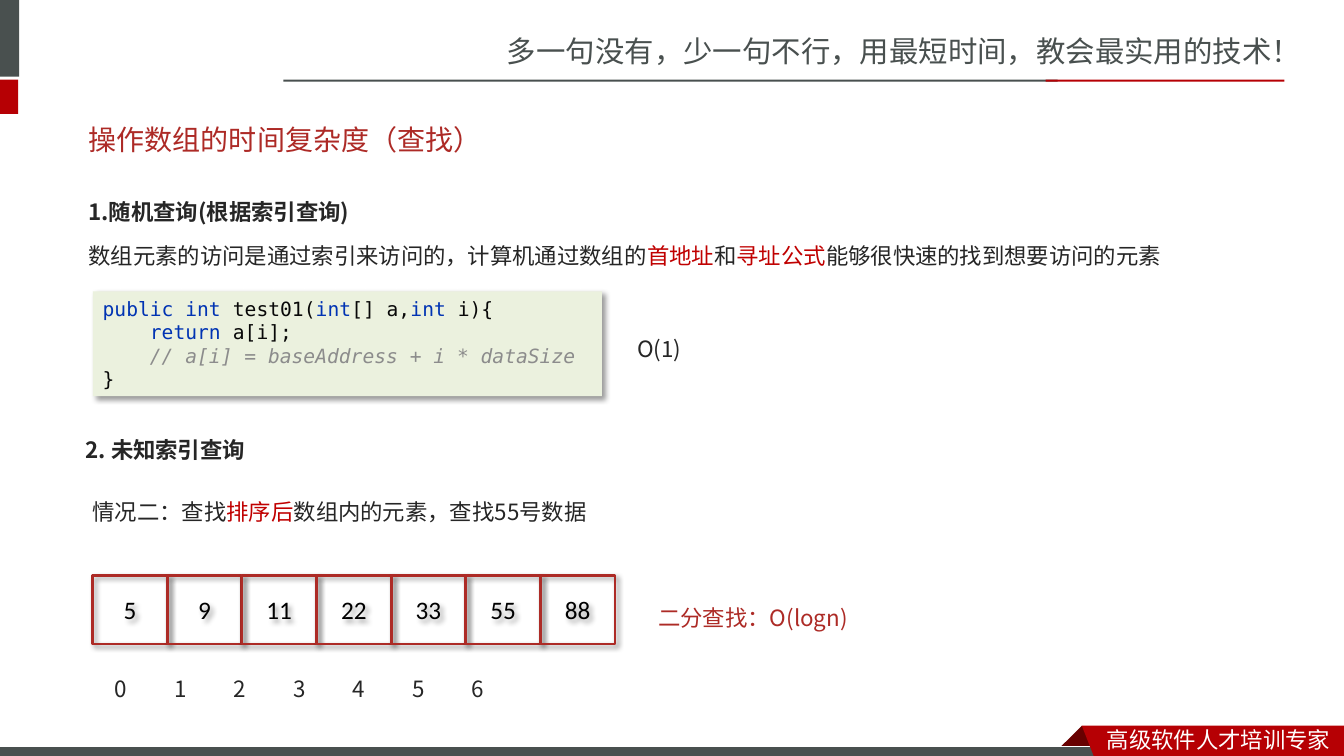
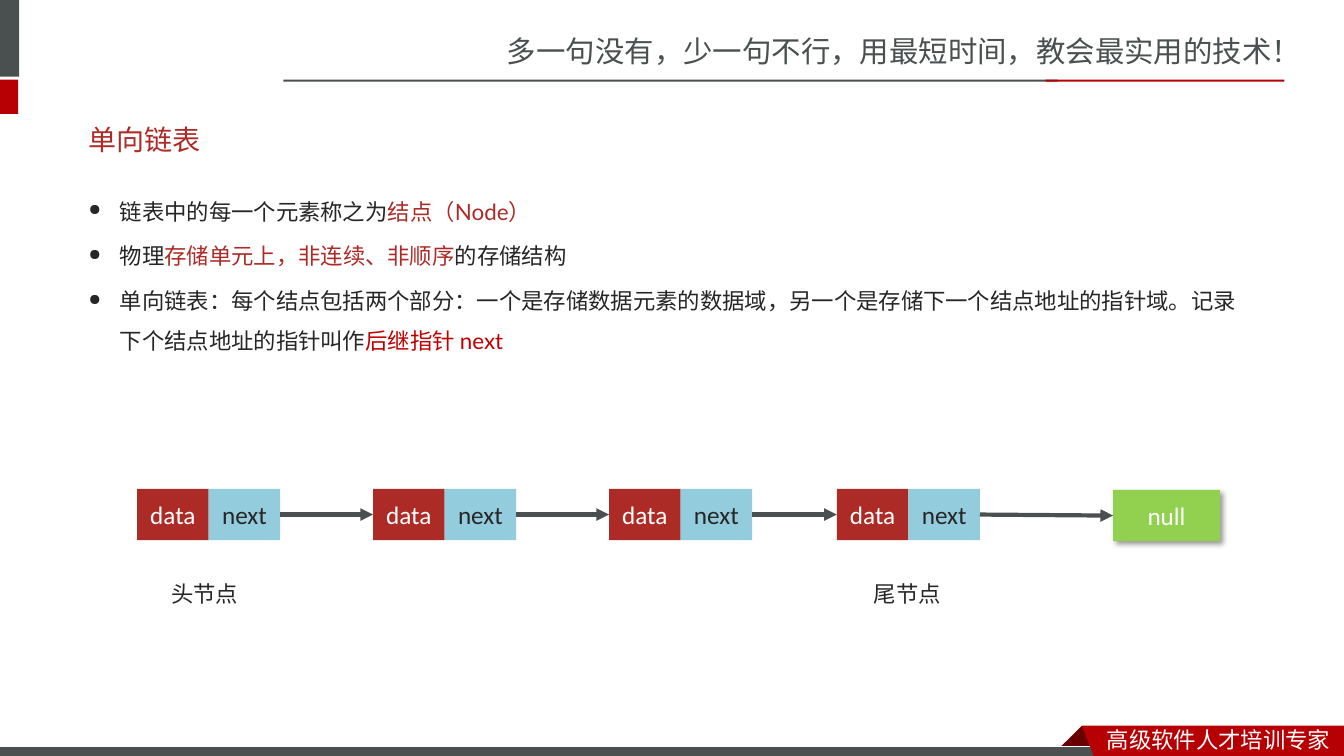
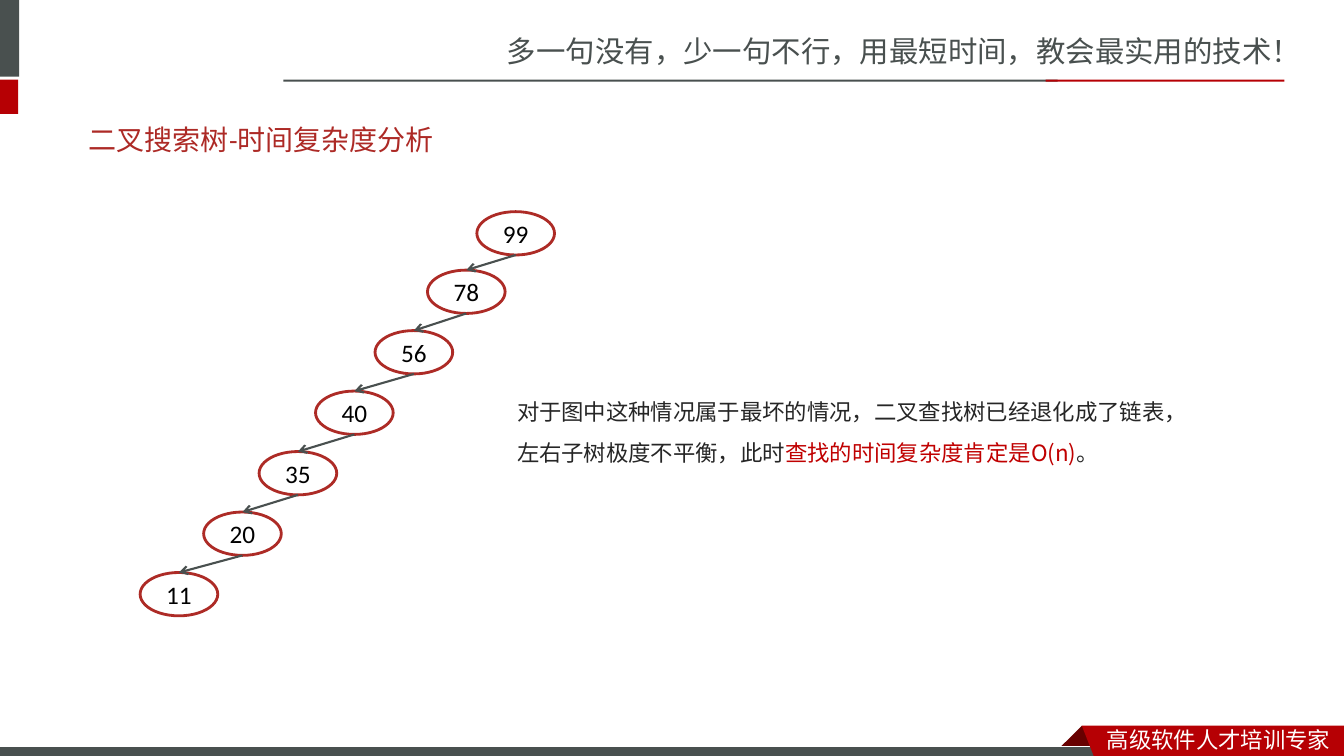
from itertools import pairwise

from lxml import etree
from pptx import Presentation
from pptx.dml.color import RGBColor
from pptx.enum.dml import MSO_LINE
from pptx.enum.shapes import MSO_CONNECTOR, MSO_SHAPE, PP_PLACEHOLDER
from pptx.enum.text import MSO_ANCHOR, MSO_AUTO_SIZE, PP_ALIGN
from pptx.oxml.ns import qn
from pptx.util import Inches, Pt

WIDTH, HEIGHT = 13.33, 7.5
MARGIN, COLUMN = 0.78, 11.7

GREY, RED, DARK_RED, WHITE = "49504F", "B60004", "680000", "FFFFFF"
BRICK, TITLE_RED, ACCENT, INK, BLACK = "AD2B26", "AD2A26", "C00000", "262626", "000000"
SKY, GREEN, CODE_BACK = "93CDDD", "92D050", "EBF1DE"
KEYWORD, CODE, REMARK = "0033B3", "080808", "8C8C8C"

CJK, LATIN, MONO = "Noto Sans CJK SC", "Calibri", "DejaVu Sans Mono"
BODY = {"name": "Noto Sans CJK JP", "size": Pt(16)}
LATO_BODY = {"name": "Lato", "size": Pt(16)}
HEADING = {**BODY, "bold": True}
LABEL = {"name": LATIN, "size": Pt(18)}
TITLE = {"name": LATIN, "size": Pt(20)}
SLOGAN = {"name": CJK, "size": Pt(21)}
FOOTER = {"name": CJK, "size": Pt(16)}
SOURCE = {"name": MONO, "size": Pt(14)}

# Shared frame
BARS = [
    ((-0.06, 0, 0.25, 0.76), GREY),
    ((-0.06, 0.79, 0.24, 0.34), RED),
    ((2.81, 0.79, 7.68, 0.02), GREY),
    ((10.37, 0.79, 2.37, 0.02), RED),
]
FOOTER_BAR = (-0.01, 7.41, 11, 0.12)
RIBBON_FOLD = [(10.73, 7.2), (10.95, 7.42), (10.94, 7.43), (10.52, 7.43), (10.51, 7.42)]
RIBBON = [(10.73, 7.2), (WIDTH, 7.2), (WIDTH, 7.54), (10.86, 7.53)]
SLOGAN_TEXT = "多一句没有，少一句不行，用最短时间，教会最实用的技术！"
FOOTER_TEXT = "高级软件人才培训专家"

# A paragraph is a list of (text, colour) runs
LOOKUP_TITLE = "操作数组的时间复杂度（查找）"
LOOKUP_HEADING = [("1.随机查询(根据索引查询)", INK)]
LOOKUP_BODY = [
    ("数组元素的访问是通过索引来访问的，计算机通过数组的", INK), ("首地址", ACCENT),
    ("和", INK), ("寻址公式", ACCENT), ("能够很快速的找到想要访问的元素", INK),
]
LOOKUP_CODE = [
    [("public int ", KEYWORD), ("test01(", CODE), ("int", KEYWORD), ("[] a,", CODE),
     ("int ", KEYWORD), ("i){", CODE)],
    [("    return ", KEYWORD), ("a[i];", CODE)],
    [("    // a[i] = baseAddress + i * dataSize", REMARK)],
    [("}", CODE)],
]
LOOKUP_NOTES = [
    ((6.22, 3.14, 0.89, 0.53), [("O(1)", INK)], BODY),
    ((0.75, 4.14, COLUMN, 0.57), [("2. 未知索引查询", INK)], HEADING),
    ((0.82, 4.76, COLUMN, 0.81),
     [("情况二：查找", INK), ("排序后", ACCENT), ("数组内的元素，查找55号数据", INK)], BODY),
    ((6.43, 5.81, 3.73, 0.67), [("二分查找：O(logn)", BRICK)], BODY),
]
SORTED_VALUES = [5, 9, 11, 22, 33, 55, 88]
CELL_LEFT, CELL_TOP, CELL_WIDTH, CELL_HEIGHT = 0.92, 5.71, 0.74, 0.68
INDEX_START, INDEX_PITCH = 0.16, 0.59

LIST_TITLE = "单向链表"
LIST_POINTS = [
    [("链表中的每一个元素称之为", INK), ("结点（Node）", BRICK)],
    [("物理", INK), ("存储单元上，非连续、非顺序", BRICK), ("的存储结构", INK)],
    [("单向链表：每个结点包括两个部分：一个是存储数据元素的数据域，另一个是存储下一个"
      "结点地址的指针域。记录下个结点地址的指针叫作", INK), ("后继指针 next", ACCENT)],
]
NODE_LEFTS = [1.36, 3.7, 6.04, 8.3]
NODE_TOP, FIELD_WIDTH, FIELD_HEIGHT = 4.85, 0.71, 0.51
NULL_BOX = (11.04, 4.86, 1.06, 0.51)
NODE_CAPTIONS = [("头节点", 1.6), ("尾节点", 8.57)]

TREE_TITLE = "二叉搜索树-时间复杂度分析"
TREE_NODES = [
    (99, 4.73, 2.1), (78, 4.24, 2.68), (56, 3.72, 3.28), (40, 3.13, 3.88),
    (35, 2.57, 4.48), (20, 2.02, 5.08), (11, 1.39, 5.68),
]
OVAL_WIDTH, OVAL_HEIGHT = 0.77, 0.43
TREE_NOTE = [
    ("对于图中这种情况属于最坏的情况，二叉查找树已经退化成了链表，左右子树极度不平衡，此时", INK),
    ("查找的时间复杂度肯定是O(n)", ACCENT), ("。", INK),
]


def rgb(value):
    return RGBColor.from_string(value)


def apply(target, values):
    for key, value in values.items():
        setattr(target, key, value)


def child(parent, tag, **attributes):
    return etree.SubElement(parent, qn(tag), {k: str(v) for k, v in attributes.items()})


def write(paragraph, runs, style):
    for text, colour in runs:
        run = paragraph.add_run()
        run.text = text
        apply(run.font, style)
        run.font.color.rgb = rgb(colour)
        if colour == REMARK:
            run.font.italic = True
        child(run.font._element, "a:ea", typeface=CJK)


def fill_frame(frame, paragraphs, spacing=1.5):
    """Write (runs, style) pairs, one paragraph each."""
    for number, (runs, style) in enumerate(paragraphs):
        paragraph = frame.add_paragraph() if number else frame.paragraphs[0]
        paragraph.alignment = PP_ALIGN.LEFT
        if spacing:
            paragraph.line_spacing = spacing
            if number:
                paragraph.space_before = Pt(3.2)
        write(paragraph, runs, style)


def add_text(slide, box, paragraphs, spacing=1.5):
    frame = slide.shapes.add_textbox(*map(Inches, box)).text_frame
    frame.word_wrap = True
    fill_frame(frame, paragraphs, spacing)
    return frame


def paint(shape, fill=None, line=None, line_width=2, shadow=False):
    shape.shadow.inherit = False
    if fill:
        shape.fill.solid()
        shape.fill.fore_color.rgb = rgb(fill)
    else:
        shape.fill.background()
    if line:
        shape.line.color.rgb = rgb(line)
        shape.line.width = Pt(line_width)
    else:
        shape.line.fill.background()
    if shadow:
        effects = shape._element.spPr.find(qn("a:effectLst"))
        outer = child(effects, "a:outerShdw", blurRad=Pt(4), dist=Pt(3), dir=45 * 60000,
                      algn="tl", rotWithShape=0)
        child(child(outer, "a:srgbClr", val=BLACK), "a:alpha", val=40000)
    return shape


def add_block(slide, box, kind=MSO_SHAPE.RECTANGLE, label=None, ink=BLACK, **look):
    shape = paint(slide.shapes.add_shape(kind, *map(Inches, box)), **look)
    frame = shape.text_frame
    frame.vertical_anchor = MSO_ANCHOR.MIDDLE
    if label is not None:
        frame.word_wrap = False
        frame.paragraphs[0].alignment = PP_ALIGN.CENTER
        write(frame.paragraphs[0], [(str(label), ink)], LABEL)
    return shape


def add_outline(slide, points, fill):
    """Draw a closed outline; its points become whole EMU, as the builder rounds them."""
    start, *rest = [(Inches(x), Inches(y)) for x, y in points]
    builder = slide.shapes.build_freeform(*start)
    builder.add_line_segments(rest, close=True)
    paint(builder.convert_to_shape(), fill)


def add_arrow(slide, start, end, width, head):
    arrow = slide.shapes.add_connector(MSO_CONNECTOR.STRAIGHT, *map(Inches, start + end))
    apply(arrow.line, {"width": Pt(width), "dash_style": MSO_LINE.SOLID})
    arrow.line.color.rgb = rgb(GREY)
    child(arrow.line._get_or_add_ln(), "a:tailEnd", type=head)
    child(arrow._element.spPr, "a:effectLst")
    return arrow


def draw_frame(slide):
    add_text(slide, (4.93, 0.28, 8.41, 0.47), [([(SLOGAN_TEXT, GREY)], SLOGAN)], None)
    for box, colour in BARS:
        add_block(slide, box, fill=colour)
    add_outline(slide, RIBBON_FOLD, DARK_RED)
    add_block(slide, FOOTER_BAR, fill=GREY, line=WHITE, line_width=0.75)
    add_outline(slide, RIBBON, RED)
    add_text(slide, (10.88, 7.15, 2.45, 0.37), [([(FOOTER_TEXT, WHITE)], FOOTER)], None)


def share_frame(slide):
    """Draw the frame and move it to the slide's layout, so every slide inherits it."""
    layout = slide.slide_layout
    for holder in list(layout.placeholders):
        if holder.placeholder_format.type != PP_PLACEHOLDER.TITLE:
            layout.shapes.element.remove(holder.element)
    draw_frame(slide)
    for shape in list(slide.shapes):
        if not shape.is_placeholder:
            layout.shapes.element.append(shape.element)


def set_title(slide, text):
    title = slide.shapes.title
    apply(title, {"left": Inches(MARGIN), "top": Inches(1.1),
                  "width": Inches(COLUMN), "height": Inches(0.57)})
    apply(title.text_frame, {"vertical_anchor": MSO_ANCHOR.MIDDLE, "word_wrap": True,
                             "auto_size": MSO_AUTO_SIZE.NONE})
    fill_frame(title.text_frame, [([(text, TITLE_RED)], TITLE)], None)


def build_lookup(slide):
    set_title(slide, LOOKUP_TITLE)
    add_text(slide, (MARGIN, 1.78, COLUMN, 1.16),
             [(LOOKUP_HEADING, HEADING), (LOOKUP_BODY, BODY)])
    code = add_block(slide, (0.92, 2.89, 5.05, 1.04), fill=CODE_BACK, shadow=True)
    fill_frame(code.text_frame, [(line, SOURCE) for line in LOOKUP_CODE], None)
    for box, runs, style in LOOKUP_NOTES:
        add_text(slide, box, [(runs, style)])
    for index, value in enumerate(SORTED_VALUES):
        box = (CELL_LEFT + index * CELL_WIDTH, CELL_TOP, CELL_WIDTH, CELL_HEIGHT)
        add_block(slide, box, label=value, line=BRICK, shadow=True)

    indexes = range(len(SORTED_VALUES))
    row = add_text(slide, (0.94, 6.52, 5.43, 0.54), [])
    tabs = child(row.paragraphs[0]._p.get_or_add_pPr(), "a:tabLst")
    for index in indexes:
        child(tabs, "a:tab", pos=Inches(INDEX_START + index * INDEX_PITCH), algn="ctr")
    fill_frame(row, [([("".join(f"\t{index}" for index in indexes), INK)], BODY)])


def build_linked_list(slide):
    set_title(slide, LIST_TITLE)
    points = add_text(slide, (MARGIN, 1.78, COLUMN, 1.97),
                      [(runs, LATO_BODY) for runs in LIST_POINTS])
    for paragraph in points.paragraphs:
        properties = paragraph._p.get_or_add_pPr()
        properties.set("marL", str(Inches(0.31)))
        properties.set("indent", str(Inches(-0.31)))
        child(properties, "a:buSzPct", val=70000)
        child(properties, "a:buChar", char="●")

    nodes = []
    for left in NODE_LEFTS:
        data, pointer = (
            add_block(slide, (left + shift, NODE_TOP, FIELD_WIDTH, FIELD_HEIGHT),
                      label=label, ink=ink, fill=fill)
            for shift, label, ink, fill in [(0, "data", WHITE, BRICK),
                                            (FIELD_WIDTH, "next", INK, SKY)])
        nodes.append((data, pointer))
    null = add_block(slide, NULL_BOX, label="null", ink=WHITE, fill=GREEN, shadow=True)
    nodes.append((null, None))
    for (_, pointer), (target, _) in pairwise(nodes):
        arrow = add_arrow(slide, (0, 0), (1, 1), 3, "triangle")
        arrow.begin_connect(pointer, 3)
        arrow.end_connect(target, 1)
    for caption, left in NODE_CAPTIONS:
        add_text(slide, (left, 5.57, 1.16, 0.44), [([(caption, INK)], BODY)])


def build_tree(slide):
    set_title(slide, TREE_TITLE)
    add_text(slide, (5.03, 3.77, 6.9, 1.15), [(TREE_NOTE, BODY)])
    for value, left, top in TREE_NODES:
        add_block(slide, (left, top, OVAL_WIDTH, OVAL_HEIGHT), MSO_SHAPE.OVAL,
                  label=value, line=BRICK)
    half = OVAL_WIDTH / 2
    for (_, left, top), (_, next_left, next_top) in pairwise(TREE_NODES):
        add_arrow(slide, (left + half, top + OVAL_HEIGHT), (next_left + half, next_top),
                  1.5, "arrow")


def main():
    deck = Presentation()
    apply(deck, {"slide_width": Inches(WIDTH), "slide_height": Inches(HEIGHT)})
    title_only = deck.slide_layouts[5]
    for number, build in enumerate([build_lookup, build_linked_list, build_tree]):
        slide = deck.slides.add_slide(title_only)
        if number == 0:
            share_frame(slide)
        build(slide)
    deck.save("out.pptx")


if __name__ == "__main__":
    main()
